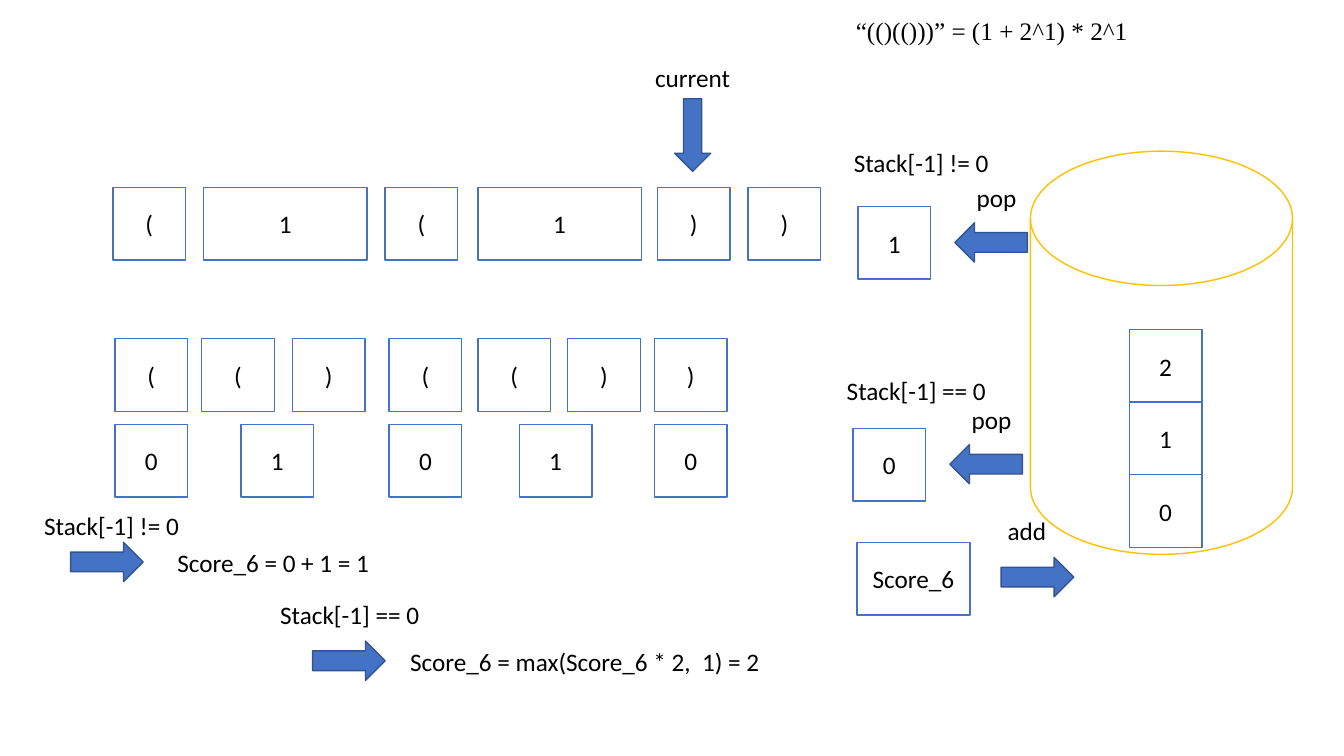
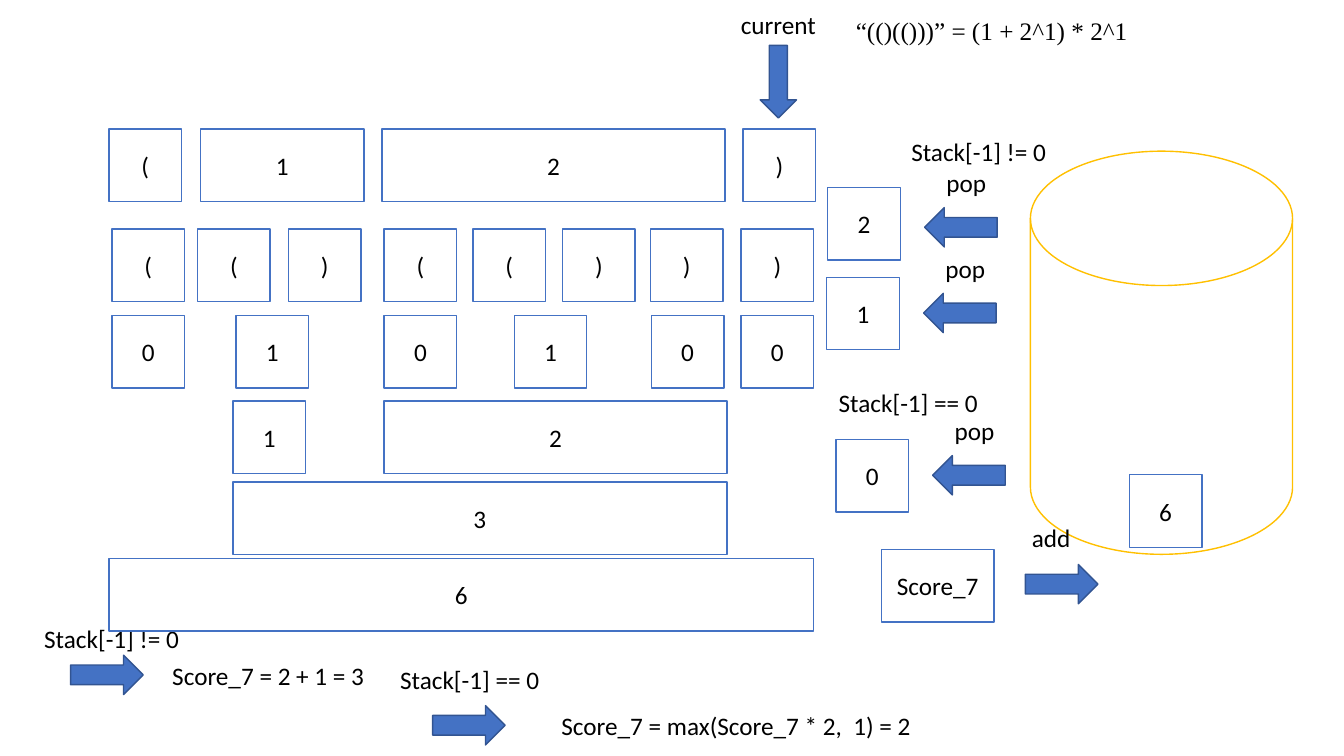
from dataclasses import dataclass

from pptx import Presentation
from pptx.dml.color import RGBColor
from pptx.enum.shapes import MSO_SHAPE
from pptx.enum.text import MSO_ANCHOR, MSO_AUTO_SIZE, PP_ALIGN
from pptx.util import Inches, Pt

RECT = MSO_SHAPE.RECTANGLE
DISK = MSO_SHAPE.FLOWCHART_MAGNETIC_DISK
RIGHT = MSO_SHAPE.RIGHT_ARROW
DOWN = MSO_SHAPE.DOWN_ARROW
MIDDLE = MSO_ANCHOR.MIDDLE
GROW = MSO_AUTO_SIZE.SHAPE_TO_FIT_TEXT
LEFT = PP_ALIGN.LEFT
CENTER = PP_ALIGN.CENTER


@dataclass(frozen=True)
class Theme:
    white: str = "FFFFFF"
    ink: str = "000000"
    blue: str = "4472C4"
    navy: str = "325491"
    gold: str = "FFC000"
    font: str = "Calibri"
    serif: str = "Times New Roman"
    size: int = 18
    line: int = 1


THEME = Theme()
GRID = Inches(1)
CELL = 0.72
WIDE = 1.62
SPAN = 3.4
SHAFT = 0.39
LINE = 0.4
NOT_ZERO = "Stack[-1] != 0"
ZERO = "Stack[-1] == 0"
SHIFT = {NOT_ZERO: (-0.36, -0.37), ZERO: (-0.42, -0.46)}


def place(*units):
    return [round(unit * GRID) for unit in units]


def write(frame, text, align, font=THEME.font):
    frame.word_wrap = True
    para = frame.paragraphs[0]
    para.text = text
    para.alignment = align
    for run in para.runs:
        run.font.name = font
        run.font.size = Pt(THEME.size)
        run.font.color.rgb = RGBColor.from_string(THEME.ink)


def shape(slide, kind, x, y, w, h, fill, line):
    item = slide.shapes.add_shape(kind, *place(x, y, w, h))
    item.shadow.inherit = False
    item.fill.solid()
    item.fill.fore_color.rgb = RGBColor.from_string(fill)
    item.line.color.rgb = RGBColor.from_string(line)
    item.line.width = Pt(THEME.line)
    return item


def box(slide, x, y, text, w=CELL):
    item = shape(slide, RECT, x, y, w, CELL, THEME.white, THEME.blue)
    item.text_frame.vertical_anchor = MIDDLE
    write(item.text_frame, text, CENTER)


def row(slide, y, *cells):
    for x, text, *width in cells:
        box(slide, x, y, text, *width)


def label(slide, x, y, w, text, align=LEFT, font=THEME.font):
    item = slide.shapes.add_textbox(*place(x, y, w, LINE))
    write(item.text_frame, text, align, font)
    item.text_frame.auto_size = GROW


def arrow(slide, x, y, turn=0):
    item = shape(slide, RIGHT, x, y, CELL, SHAFT, THEME.blue, THEME.navy)
    item.rotation = turn


def cursor(slide, x, y):
    label(slide, x, y, 1.1, "current", CENTER)
    shape(slide, DOWN, x + 0.37, y + 0.41, CELL / 2, CELL, THEME.blue, THEME.navy)


def stack(slide, *values):
    shape(slide, DISK, 10.22, 1.5, 2.6, 4, THEME.white, THEME.gold)
    for level, value in enumerate(values):
        box(slide, 11.2, 4.71 - level * CELL, value)


def pop(slide, x, y, value, drop=0.16):
    box(slide, x, y, value)
    arrow(slide, x + 0.96, y + drop, 180)
    label(slide, x + 0.96, y + drop - 0.45, 0.83, "pop", CENTER)


def push(slide, x, y, name):
    box(slide, x, y, name, 1.12)
    arrow(slide, x + 1.43, y + 0.15)
    label(slide, x + 1.27, y - 0.32, 0.83, "add", CENTER)


def test(slide, x, y, text):
    label(slide, x, y, 1.67, text)


def step(slide, x, y, rule, end, w, text):
    dx, dy = SHIFT[rule]
    arrow(slide, x, y)
    test(slide, x + dx, y + dy, rule)
    label(slide, end, y, w, text)


def start(deck, *values):
    slide = deck.slides.add_slide(deck.slide_layouts[6])
    stack(slide, *values)
    label(slide, 8.39, 0.1, 3.13, "“(()(()))” = (1 + 2^1) * 2^1", font=THEME.serif)
    return slide


def score_six(deck):
    slide = start(deck, "0", "1", "2")
    cursor(slide, 6.32, 0.57)
    row(slide, 1.86, (1.12, "("), (2.02, "1", WIDE), (3.82, "("),
        (4.74, "1", WIDE), (6.52, ")"), (7.42, ")"))
    row(slide, 3.36, (1.14, "("), (2, "("), (2.9, ")"), (3.86, "("),
        (4.74, "("), (5.63, ")"), (6.49, ")"))
    row(slide, 4.21, (1.14, "0"), (2.39, "1"), (3.86, "0"),
        (5.15, "1"), (6.49, "0"))
    test(slide, 8.37, 1.41, NOT_ZERO)
    pop(slide, 8.51, 2.05, "1")
    test(slide, 8.3, 3.67, ZERO)
    pop(slide, 8.46, 4.25, "0")
    push(slide, 8.5, 5.38, "Score_6")
    step(slide, 0.7, 5.38, NOT_ZERO, 1.66, 2.49, "Score_6 = 0 + 1 = 1")
    step(slide, 3.1, 6.36, ZERO, 3.97, 3.8, "Score_6 = max(Score_6 * 2,  1) = 2")


def score_seven(deck):
    slide = start(deck, "6")
    cursor(slide, 7.17, 0.04)
    step(slide, 0.7, 6.5, NOT_ZERO, 1.61, 2.49, "Score_7 = 2 + 1 = 3")
    step(slide, 4.29, 7, ZERO, 5.47, 3.8, "Score_7 = max(Score_7 * 2,  1) = 2")
    row(slide, 1.28, (1.08, "("), (1.99, "1", WIDE), (3.79, "2", SPAN), (7.37, ")"))
    row(slide, 2.27, (1.11, "("), (1.96, "("), (2.86, ")"), (3.81, "("),
        (4.69, "("), (5.58, ")"), (6.45, ")"), (7.35, ")"))
    row(slide, 3.13, (1.11, "0"), (2.34, "1"), (3.81, "0"), (5.1, "1"),
        (6.46, "0"), (7.35, "0"))
    row(slide, 3.98, (2.31, "1"), (3.81, "2", SPAN))
    row(slide, 4.78, (2.31, "3", 4.9))
    row(slide, 5.54, (1.08, "6", 6.99))
    test(slide, 8.94, 1.3, NOT_ZERO)
    pop(slide, 8.21, 1.86, "2", 0.2)
    pop(slide, 8.2, 2.75, "1")
    test(slide, 8.22, 3.79, ZERO)
    pop(slide, 8.29, 4.36, "0")
    push(slide, 8.74, 5.45, "Score_7")


def main():
    deck = Presentation()
    deck.slide_width, deck.slide_height = place(13.33, 7.5)
    score_six(deck)
    score_seven(deck)
    deck.save("out.pptx")


main()
